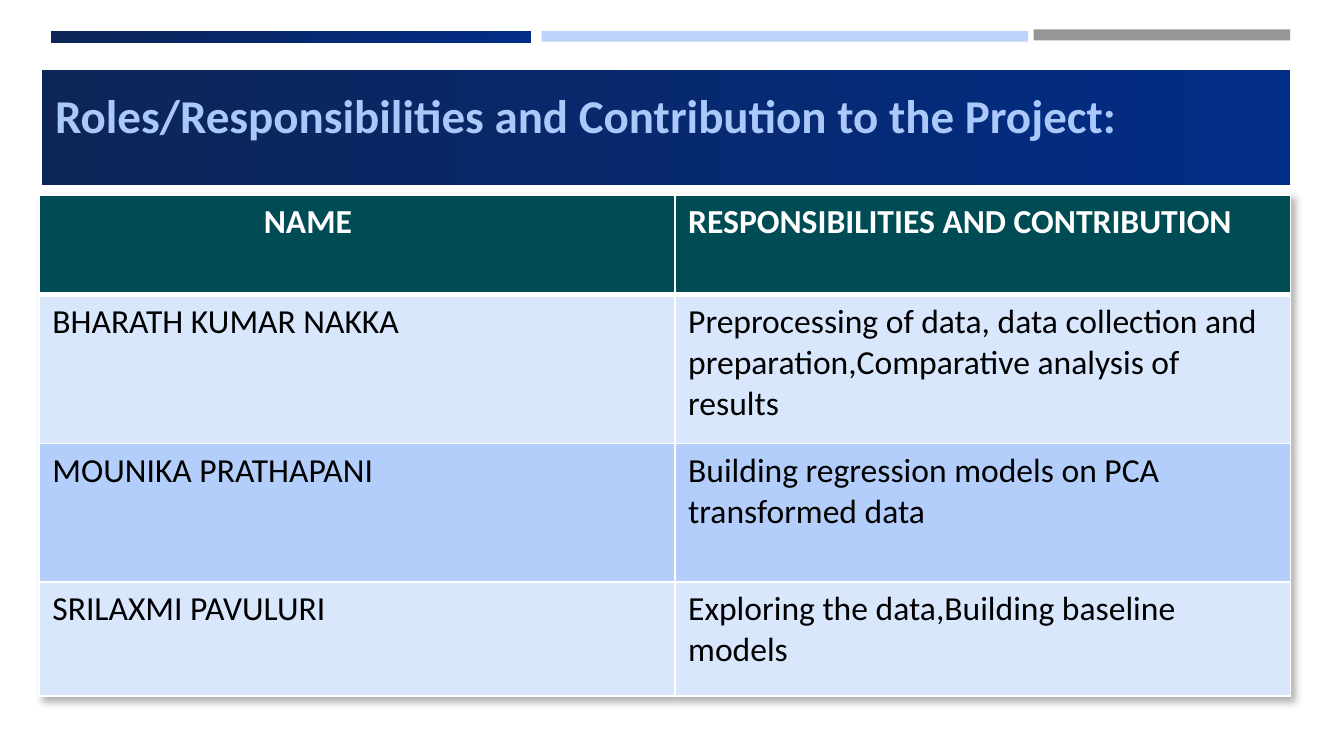
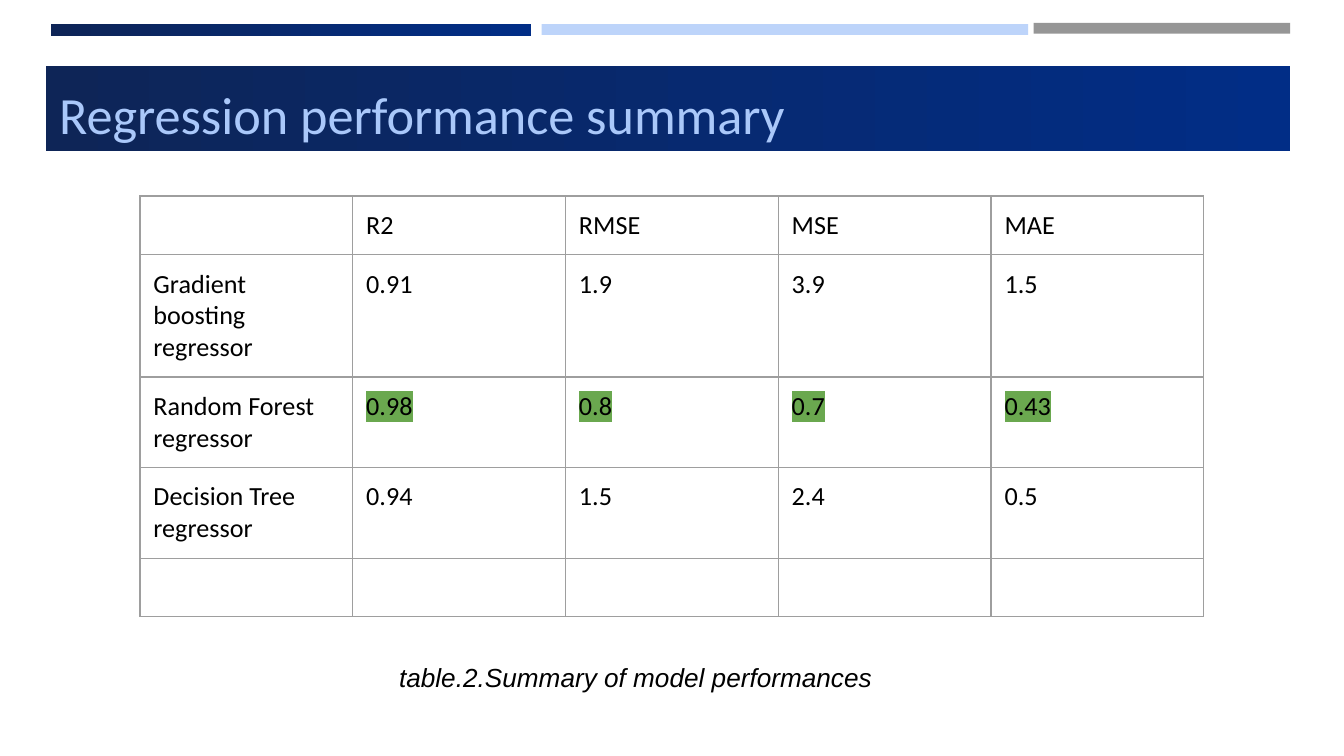
from dataclasses import dataclass
from typing import Optional

from lxml import etree
from pptx import Presentation
from pptx.dml.color import RGBColor
from pptx.enum.shapes import MSO_SHAPE
from pptx.enum.text import MSO_ANCHOR, MSO_AUTO_SIZE, PP_ALIGN
from pptx.oxml.ns import qn
from pptx.util import Pt

RECT = MSO_SHAPE.RECTANGLE
TOP = MSO_ANCHOR.TOP
LEFT, CENTER = PP_ALIGN.LEFT, PP_ALIGN.CENTER
NO_FIT, GROW = MSO_AUTO_SIZE.NONE, MSO_AUTO_SIZE.SHAPE_TO_FIT_TEXT

BLUE = RGBColor(0x01, 0x2D, 0x86)
NAVY = RGBColor(0x0E, 0x25, 0x57)
TITLE_BLUE = RGBColor(0xAA, 0xC8, 0xFA)
BAND_BLUE = RGBColor(0x8E, 0xB6, 0xF8)
BAND_GRAY = RGBColor(0x59, 0x59, 0x59)
TEAL = RGBColor(0x00, 0x4C, 0x54)
PALE = RGBColor(0xD9, 0xE7, 0xFD)
LIGHT = RGBColor(0xB3, 0xCE, 0xFB)
GRID_GRAY = RGBColor(0x9E, 0x9E, 0x9E)
GREEN = RGBColor(0x6A, 0xA8, 0x4F)
WHITE = RGBColor(0xFF, 0xFF, 0xFF)
BLACK = RGBColor(0, 0, 0)

BODY_FONT = "Calibri"
CAPTION_FONT = "Arial"
INSET = 7.2


@dataclass(frozen=True)
class Band:
    left: float
    drop: float
    width: float
    height: float
    color: Optional[RGBColor] = None
    opacity: int = 100


@dataclass(frozen=True)
class Title:
    text: str
    left: float
    top: float
    width: float
    height: float
    size: float
    bold: bool = False


@dataclass(frozen=True)
class CellStyle:
    size: float
    color: RGBColor
    border: RGBColor
    widths: dict[str, float]
    fill: Optional[RGBColor] = None
    bold: bool = False
    pad: float = INSET
    indent: float = INSET


BANDS = (
    Band(27.4, 0.7, 257, 6.5),
    Band(290.2, 0.7, 260.6, 5.8, BAND_BLUE, 58),
    Band(553.7, 0, 137.5, 5.8, BAND_GRAY, 63),
)

ROLES = (
    ("NAME", "RESPONSIBILITIES AND CONTRIBUTION"),
    ("BHARATH KUMAR NAKKA",
     "Preprocessing of data, data collection and preparation,"
     "Comparative analysis of results"),
    ("MOUNIKA PRATHAPANI", "Building regression models on PCA transformed data"),
    ("SRILAXMI PAVULURI", "Exploring the data,Building baseline models"),
)

SCORES = (
    ("", "R2", "RMSE", "MSE", "MAE"),
    ("Gradient boosting regressor", "0.91", "1.9", "3.9", "1.5"),
    ("Random Forest regressor", "0.98", "0.8", "0.7", "0.43"),
    ("Decision Tree regressor", "0.94", "1.5", "2.4", "0.5"),
    ("",) * 5,
)
BEST_ROW = 2


def fill_gradient(shape) -> None:
    shape.fill.gradient()
    shape.fill.gradient_angle = 180
    for stop, color in zip(shape.fill.gradient_stops, (BLUE, NAVY)):
        stop.color.rgb = color


def set_font(p, name: str, size: float, color: RGBColor,
             bold: bool = False, italic: bool = False) -> None:
    f = p.font
    f.name, f.size, f.bold, f.italic = name, Pt(size), bold, italic
    f.color.rgb = color


def set_insets(box, left: float, top: float, right: float, bottom: float) -> None:
    box.margin_left, box.margin_top = Pt(left), Pt(top)
    box.margin_right, box.margin_bottom = Pt(right), Pt(bottom)


def add_color(parent, color: RGBColor) -> etree._Element:
    return etree.SubElement(parent, qn("a:srgbClr"), val=str(color))


def add_bands(s, top: float) -> None:
    for band in BANDS:
        sp = s.shapes.add_shape(RECT, Pt(band.left), Pt(top + band.drop),
                                Pt(band.width), Pt(band.height))
        sp.shadow.inherit = False
        sp.line.fill.background()
        if band.color is None:
            fill_gradient(sp)
            continue
        sp.fill.solid()
        sp.fill.fore_color.rgb = band.color
        color = sp.fill._xPr.find(".//" + qn("a:srgbClr"))
        etree.SubElement(color, qn("a:alpha"), val=str(band.opacity * 1000))


def set_title(s, title: Title) -> None:
    sp = s.shapes.title
    sp.left, sp.top = Pt(title.left), Pt(title.top)
    sp.width, sp.height = Pt(title.width), Pt(title.height)
    fill_gradient(sp)
    tf = sp.text_frame
    tf.text = title.text
    tf.word_wrap, tf.auto_size, tf.vertical_anchor = True, NO_FIT, TOP
    set_insets(tf, INSET, 9, INSET, INSET)
    p = tf.paragraphs[0]
    p.alignment = LEFT
    set_font(p, BODY_FONT, title.size, TITLE_BLUE, title.bold)


def style_cell(cell, text: str, style: CellStyle) -> None:
    cell.text = text
    set_insets(cell, style.indent, style.pad, INSET, style.pad)
    set_font(cell.text_frame.paragraphs[0], BODY_FONT, style.size,
             style.color, style.bold)
    tcPr = cell._tc.get_or_add_tcPr()
    for side in "LRTB":
        ln = etree.SubElement(tcPr, qn("a:ln" + side),
                              w=str(Pt(style.widths[side])))
        add_color(etree.SubElement(ln, qn("a:solidFill")), style.border)
    if style.fill is None:
        cell.fill.background()
    else:
        cell.fill.solid()
        cell.fill.fore_color.rgb = style.fill


def add_grid(s, left: float, top: float, widths: list[float],
             heights: list[float]):
    table = s.shapes.add_table(len(heights), len(widths), Pt(left), Pt(top),
                               Pt(sum(widths)), Pt(sum(heights))).table
    table.first_row = table.horz_banding = False
    for col, width in zip(table.columns, widths):
        col.width = Pt(width)
    for row, height in zip(table.rows, heights):
        row.height = Pt(height)
    return table


def add_table_shadow(table) -> None:
    effects = etree.Element(qn("a:effectLst"))
    shadow = etree.SubElement(effects, qn("a:outerShdw"), blurRad=str(Pt(4)),
                              dist=str(Pt(3)), dir="2700000", algn="tl")
    etree.SubElement(add_color(shadow, BLACK), qn("a:alpha"), val="30000")
    table._tbl.tblPr.insert(0, effects)


def add_roles_table(s) -> None:
    table = add_grid(s, 20.9, 104.4, [340.6, 329.8], [53.3, 79.9, 74.2, 61.2])
    add_table_shadow(table)
    for i, row in enumerate(ROLES):
        header = i == 0
        widths = {"L": 1, "R": 1, "T": 3 if i == 1 else 1, "B": 3 if header else 1}
        for j, text in enumerate(row):
            style_cell(table.cell(i, j), text, CellStyle(
                size=18,
                color=WHITE if header else BLACK,
                border=WHITE,
                widths=widths,
                fill=TEAL if header else (LIGHT, PALE)[i % 2],
                bold=header,
                pad=3.6,
                indent=120.5 if header and j == 0 else INSET))


def add_scores_table(s) -> None:
    table = add_grid(s, 75, 105, [114] * 5, [30] * 5)
    style = CellStyle(14, BLACK, GRID_GRAY, dict.fromkeys("LRTB", 0.75))
    for i, row in enumerate(SCORES):
        for j, text in enumerate(row):
            cell = table.cell(i, j)
            style_cell(cell, text, style)
            if i == BEST_ROW and j > 0:
                rPr = cell.text_frame.paragraphs[0].runs[0]._r.get_or_add_rPr()
                add_color(etree.SubElement(rPr, qn("a:highlight")), GREEN)


def add_caption(s, text: str) -> None:
    tf = s.shapes.add_textbox(Pt(196.6), Pt(347), Pt(288), Pt(31.7)).text_frame
    tf.text = text
    tf.word_wrap, tf.auto_size = True, GROW
    set_insets(tf, INSET, INSET, INSET, INSET)
    p = tf.paragraphs[0]
    p.alignment = CENTER
    set_font(p, CAPTION_FONT, 14, BLACK, italic=True)


def add_slide(prs, title: Title, band_top: float):
    s = prs.slides.add_slide(prs.slide_layouts[5])
    set_title(s, title)
    add_bands(s, band_top)
    return s


def main() -> None:
    prs = Presentation()
    prs.slide_width, prs.slide_height = Pt(720), Pt(405)

    s = add_slide(prs, Title(
        "Roles/Responsibilities and Contribution to the Project:",
        22.3, 37.4, 668.9, 61.9, 25.2, True), 15.8)
    add_roles_table(s)

    s = add_slide(prs, Title("Regression performance summary",
                             24.5, 35.3, 666.7, 45.4, 28), 12.2)
    add_scores_table(s)
    add_caption(s, "table.2.Summary of model performances")

    prs.save("out.pptx")


if __name__ == "__main__":
    main()
